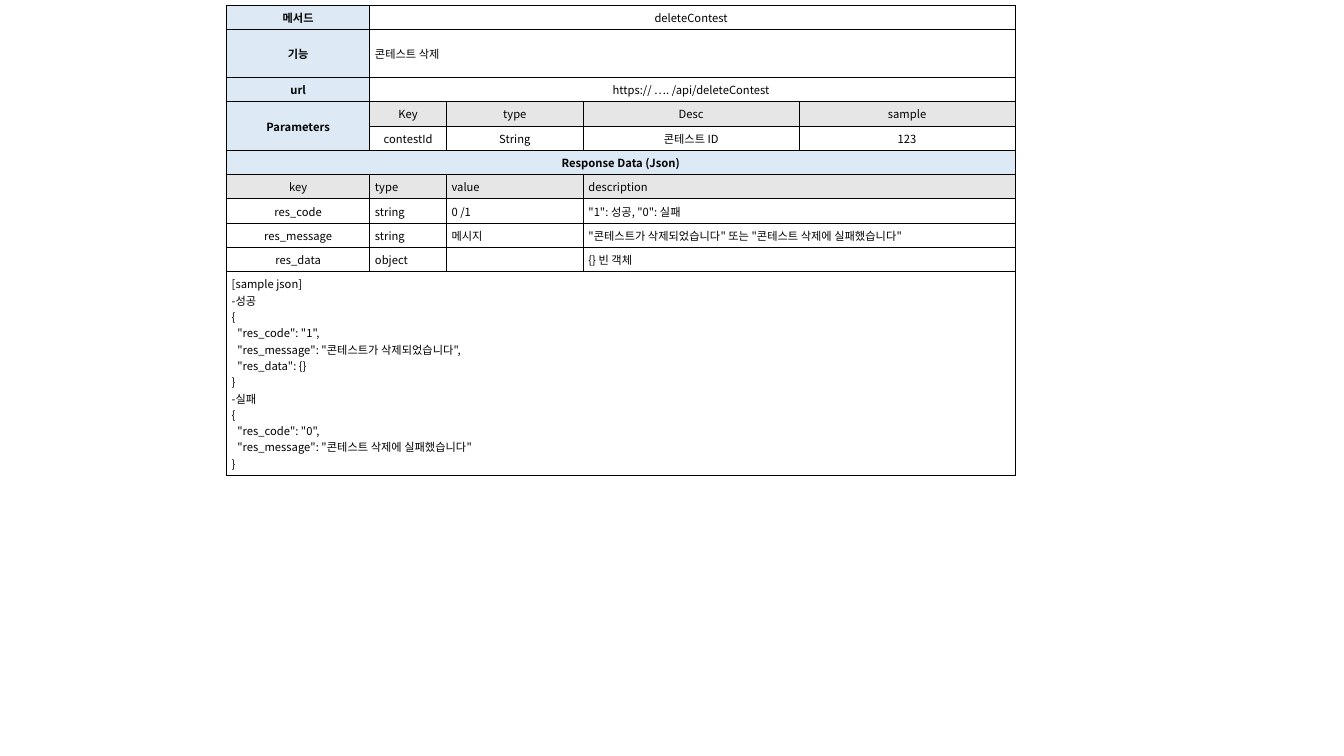
from lxml.etree import SubElement
from pptx import Presentation
from pptx.dml.color import RGBColor
from pptx.enum.text import MSO_ANCHOR, PP_ALIGN
from pptx.oxml.ns import qn
from pptx.util import Cm, Pt

FONT_NAME = "Noto Sans CJK KR"
FONT_SIZE = Pt(8)
BLACK = RGBColor(0x00, 0x00, 0x00)
WHITE = RGBColor(0xFF, 0xFF, 0xFF)
BLUE = RGBColor(0xDD, 0xEA, 0xF6)
GREY = RGBColor(0xE7, 0xE6, 0xE6)

COLUMN_WIDTHS = [3.61, 1.93, 3.45, 5.44, 5.44]
ROW_HEIGHTS = [0.51, 1.2] + [0.51] * 8 + [4.06]

SAMPLE_JSON = """[sample json]
-성공
{
  "res_code": "1",
  "res_message": "콘테스트가 삭제되었습니다",
  "res_data": {}
}
-실패
{
  "res_code": "0",
  "res_message": "콘테스트 삭제에 실패했습니다"
}"""

CENTER = PP_ALIGN.CENTER
LEFT = PP_ALIGN.LEFT

METHOD_ROWS = [
    ("메서드", "deleteContest ", CENTER),
    ("기능", "콘테스트 삭제", LEFT),
    ("url", "https:// …. /api/deleteContest ", CENTER),
]
PARAMETER_ROWS = [
    (GREY, ["Key", "type", "Desc", "sample"]),
    (WHITE, ["contestId", "String", "콘테스트 ID", "123"]),
]
RESPONSE_ROWS = [
    (GREY, ["key", "type", "value", "description"]),
    (WHITE, ["res_code", "string", "0 /1", '"1": 성공, "0": 실패']),
    (WHITE, ["res_message", "string", "메시지",
             '"콘테스트가 삭제되었습니다" 또는 "콘테스트 삭제에 실패했습니다"']),
    (WHITE, ["res_data", "object", "", "{} 빈 객체"]),
]


def add_borders(cell):
    properties = cell._tc.get_or_add_tcPr()
    for side in ("lnL", "lnR", "lnT", "lnB"):
        line = SubElement(properties, qn(f"a:{side}"), w=str(Pt(0.75)))
        fill = SubElement(line, qn("a:solidFill"))
        SubElement(fill, qn("a:srgbClr"), val=str(BLACK))


def format_run(run, bold):
    run.font.name = FONT_NAME
    run.font.size = FONT_SIZE
    run.font.bold = bold
    run.font.color.rgb = BLACK
    SubElement(run.font._element, qn("a:ea"), typeface=FONT_NAME)


def write_paragraph(paragraph, text, alignment, bold):
    paragraph.alignment = alignment
    if text.startswith("  "):
        paragraph._p.get_or_add_pPr().set("marL", str(Cm(0.14)))
    if text:
        paragraph.text = text.removeprefix("  ")
        format_run(paragraph.runs[0], bold)
    else:
        SubElement(paragraph._p, qn("a:endParaRPr"), sz=str(int(FONT_SIZE.pt * 100)))


def write_cell(table, row, column, text, color=WHITE, alignment=CENTER,
               bold=False, rows=1, columns=1):
    cell = table.cell(row, column)
    if rows * columns > 1:
        cell.merge(table.cell(row + rows - 1, column + columns - 1))
    cell.fill.solid()
    cell.fill.fore_color.rgb = color
    cell.vertical_anchor = MSO_ANCHOR.MIDDLE
    cell.margin_left = cell.margin_right = Cm(0.13)
    cell.margin_top = cell.margin_bottom = Cm(0.1)
    for index, line in enumerate(text.split("\n")):
        frame = cell.text_frame
        paragraph = frame.add_paragraph() if index else frame.paragraphs[0]
        write_paragraph(paragraph, line, alignment, bold)
    return cell


def add_api_table(slide):
    frame = slide.shapes.add_table(
        len(ROW_HEIGHTS), len(COLUMN_WIDTHS), Cm(5.71), Cm(0.14),
        Cm(sum(COLUMN_WIDTHS)), Cm(sum(ROW_HEIGHTS)))
    table = frame.table
    table.first_row = table.horz_banding = False
    for column, width in zip(table.columns, COLUMN_WIDTHS):
        column.width = Cm(width)
    for row, height in zip(table.rows, ROW_HEIGHTS):
        row.height = Cm(height)
    for cell in table.iter_cells():
        add_borders(cell)
    return table


def write_method(table):
    for row, (label, value, alignment) in enumerate(METHOD_ROWS):
        write_cell(table, row, 0, label, BLUE, bold=True)
        write_cell(table, row, 1, value, alignment=alignment, columns=4)


def write_parameters(table, first_row):
    write_cell(table, first_row, 0, "Parameters", BLUE, bold=True, rows=2)
    for row, (color, values) in enumerate(PARAMETER_ROWS, first_row):
        for column, value in enumerate(values, 1):
            write_cell(table, row, column, value, color)


def write_response(table, first_row):
    write_cell(table, first_row, 0, "Response Data (Json)", BLUE, bold=True, columns=5)
    for row, (color, values) in enumerate(RESPONSE_ROWS, first_row + 1):
        for column, value in enumerate(values):
            write_cell(table, row, column, value, color,
                       alignment=LEFT if column else CENTER,
                       columns=2 if column == 3 else 1)


def write_sample(table, row):
    cell = write_cell(table, row, 0, SAMPLE_JSON, alignment=LEFT, columns=5)
    cell.vertical_anchor = MSO_ANCHOR.TOP


def main():
    presentation = Presentation()
    presentation.slide_width = Cm(33.87)
    presentation.slide_height = Cm(19.05)
    slide = presentation.slides.add_slide(presentation.slide_layouts[6])
    table = add_api_table(slide)
    write_method(table)
    write_parameters(table, 3)
    write_response(table, 5)
    write_sample(table, 10)
    presentation.save("out.pptx")


if __name__ == "__main__":
    main()
